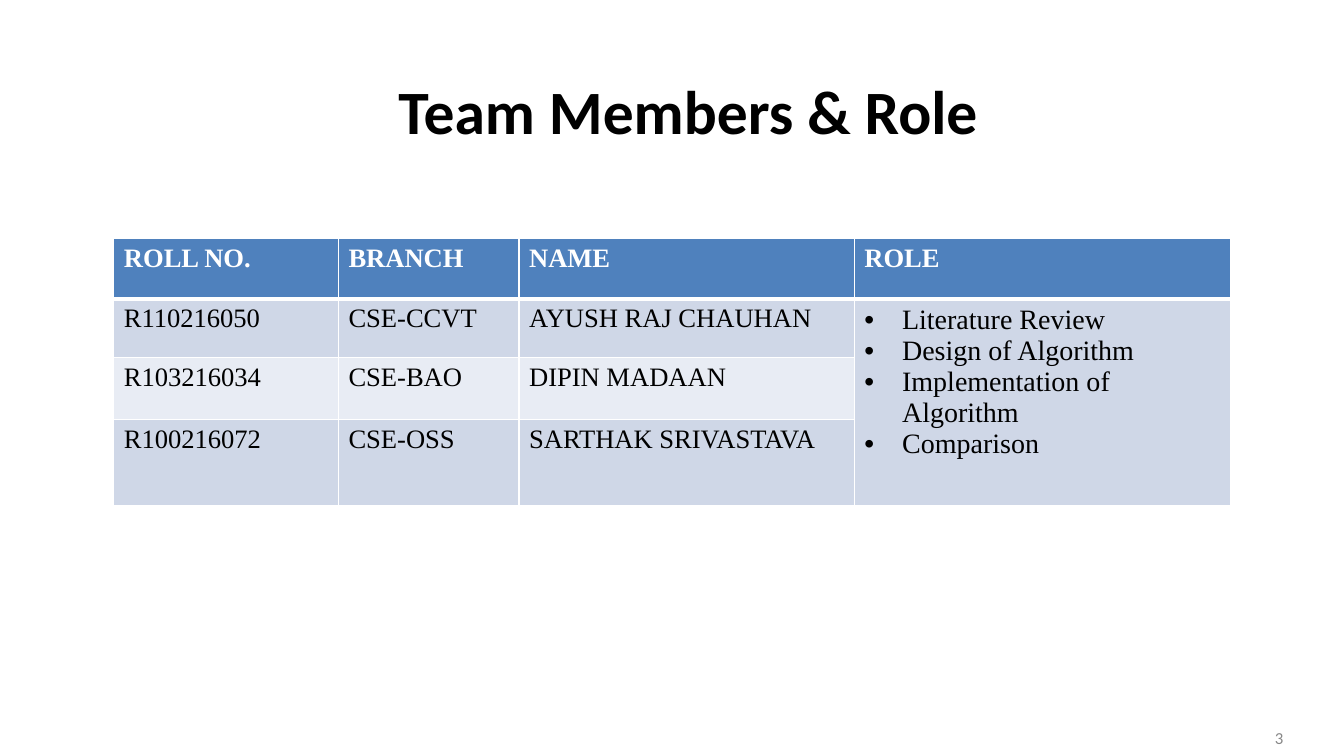
from dataclasses import dataclass

from lxml import etree
from pptx import Presentation
from pptx import util as u
from pptx.dml import color
from pptx.enum import text
from pptx.oxml import ns

BODY_FONT = "Times New Roman"
WHITE, BLACK, GREY = "FFFFFF", "000000", "888888"
HEADER_FILL = "4F81BD"
BAND_FILLS = ("CFD7E7", "E8ECF4")

HEADINGS = ("ROLL NO.", "BRANCH", "NAME", "ROLE")
ROLES = ("Literature Review", "Design of Algorithm",
         "Implementation of Algorithm", "Comparison")
COLUMN_WIDTHS = (5.66, 4.55, 8.45, 9.49)
ROW_HEIGHTS = (1.52, 1.47, 1.57, 2.17)
BULLET_INDENT = u.Cm(0.95)


@dataclass
class Member:
    roll_no: str
    branch: str
    name: str


@dataclass
class Label:
    words: str
    left: float
    top: float
    width: float
    height: float
    size: float
    colour: str
    align: text.PP_ALIGN
    bold: bool = False


MEMBERS = (
    Member("R110216050", "CSE-CCVT", "AYUSH RAJ CHAUHAN"),
    Member("R103216034", "CSE-BAO", "DIPIN MADAAN"),
    Member("R100216072", "CSE-OSS", "SARTHAK SRIVASTAVA"),
)
LABELS = (
    Label("3", 24.69, 18.08, 7.9, 1.02, 12, GREY, text.PP_ALIGN.RIGHT),
    Label("Team Members & Role", 2.11, 1.19, 30.48, 3.18, 44, BLACK,
          text.PP_ALIGN.CENTER, bold=True),
)


def rgb(value: str) -> color.RGBColor:
    return color.RGBColor.from_string(value)


def format_runs(frame, font: str, size: float, colour: str, bold: bool = False) -> None:
    for paragraph in frame.paragraphs:
        for run in paragraph.runs:
            run.font.name = font
            run.font.size = u.Pt(size)
            run.font.bold = bold
            run.font.color.rgb = rgb(colour)


def add_label(slide, label: Label) -> None:
    box = slide.shapes.add_textbox(u.Cm(label.left), u.Cm(label.top),
                                   u.Cm(label.width), u.Cm(label.height))
    frame = box.text_frame
    frame.word_wrap = True
    frame.vertical_anchor = text.MSO_ANCHOR.MIDDLE
    frame.text = label.words
    frame.paragraphs[0].alignment = label.align
    format_runs(frame, "Calibri", label.size, label.colour, label.bold)


def style_cell(cell, fill: str, top: float = 1, bottom: float = 1) -> None:
    properties = cell._tc.get_or_add_tcPr()
    for side, points in (("L", 1), ("R", 1), ("T", top), ("B", bottom)):
        line = etree.SubElement(properties, ns.qn(f"a:ln{side}"), w=str(u.Pt(points)))
        solid = etree.SubElement(line, ns.qn("a:solidFill"))
        etree.SubElement(solid, ns.qn("a:srgbClr"), val=WHITE)
    cell.fill.solid()
    cell.fill.fore_color.rgb = rgb(fill)


def add_bullets(frame) -> None:
    for paragraph in frame.paragraphs:
        properties = paragraph._p.get_or_add_pPr()
        properties.set("marL", str(BULLET_INDENT))
        properties.set("indent", str(-BULLET_INDENT))
        etree.SubElement(properties, ns.qn("a:buFont"), typeface="Arial")
        etree.SubElement(properties, ns.qn("a:buChar"), char="•")


def add_team_table(slide) -> None:
    team = slide.shapes.add_table(
        len(ROW_HEIGHTS), len(COLUMN_WIDTHS), u.Cm(2.87), u.Cm(6.02),
        u.Cm(sum(COLUMN_WIDTHS)), u.Cm(sum(ROW_HEIGHTS))).table
    for column, width in zip(team.columns, COLUMN_WIDTHS):
        column.width = u.Cm(width)
    for row, height in zip(team.rows, ROW_HEIGHTS):
        row.height = u.Cm(height)

    # Header row
    for column, heading in enumerate(HEADINGS):
        cell = team.cell(0, column)
        cell.text_frame.text = heading
        style_cell(cell, HEADER_FILL, bottom=3)
        format_runs(cell.text_frame, BODY_FONT, 19, WHITE, bold=True)

    # One banded row per member
    for row, member in enumerate(MEMBERS, start=1):
        fill = BAND_FILLS[(row - 1) % 2]
        for column, words in enumerate((member.roll_no, member.branch, member.name)):
            cell = team.cell(row, column)
            cell.text_frame.text = words
            style_cell(cell, fill, top=3 if row == 1 else 1)
            format_runs(cell.text_frame, BODY_FONT, 19, BLACK)

    # Shared role cell
    role = team.cell(1, 3)
    role.merge(team.cell(len(MEMBERS), 3))
    role.text_frame.text = "\n".join(ROLES)
    style_cell(role, BAND_FILLS[0], top=3)
    format_runs(role.text_frame, BODY_FONT, 20, BLACK)
    add_bullets(role.text_frame)


def main() -> None:
    deck = Presentation()
    deck.slide_width, deck.slide_height = u.Cm(33.87), u.Cm(19.05)
    slide = deck.slides.add_slide(deck.slide_layouts[6])
    for label in LABELS:
        add_label(slide, label)
    add_team_table(slide)
    deck.save("out.pptx")


if __name__ == "__main__":
    main()
